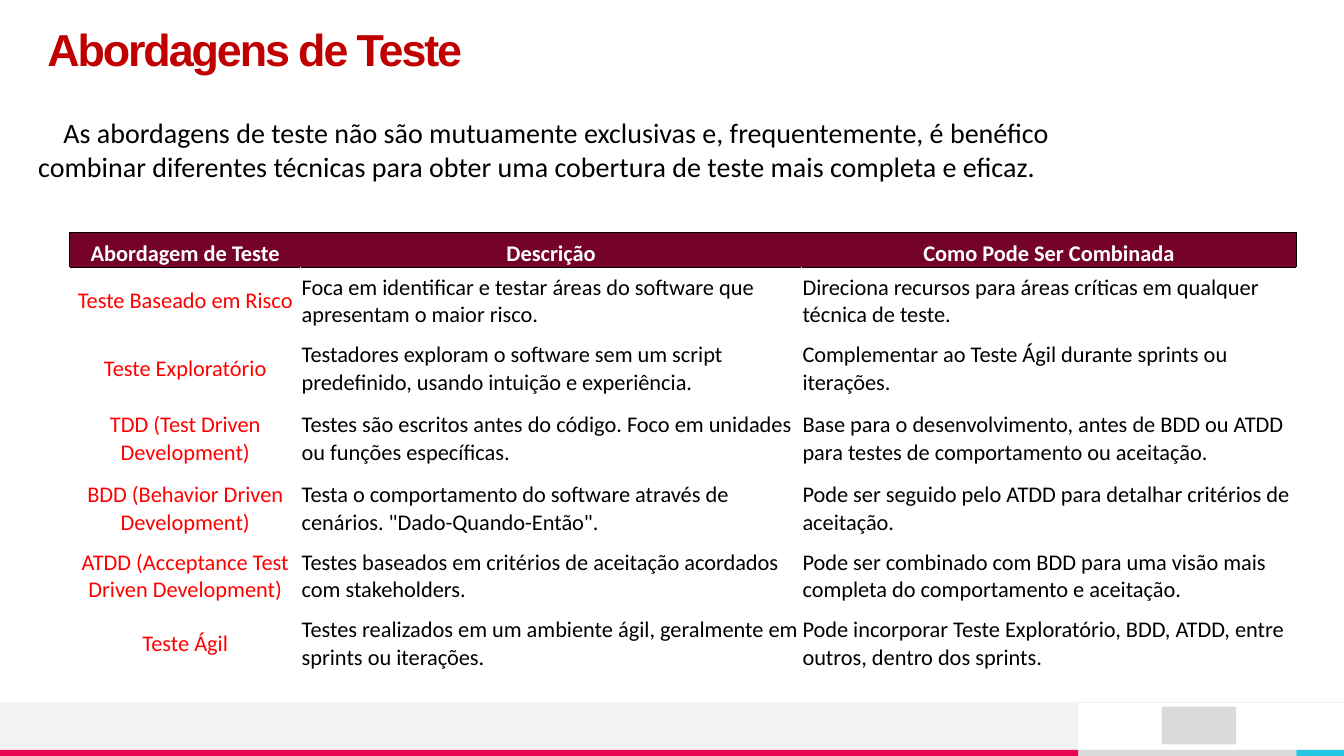
from lxml.etree import SubElement
from pptx import Presentation
from pptx.dml.color import RGBColor
from pptx.enum.shapes import MSO_CONNECTOR as Link, MSO_SHAPE as Form
from pptx.enum.text import MSO_ANCHOR as Anchor, MSO_AUTO_SIZE as Auto, PP_ALIGN as Align
from pptx.oxml.ns import qn
from pptx.util import Pt

WIDE, HIGH = 960, 540
HEAD = ["Abordagem de Teste", "Descrição", "Como Pode Ser Combinada"]
ROWS = [
    ["Teste Baseado em Risco",
     "Foca em identificar e testar áreas do software que apresentam o maior risco.",
     "Direciona recursos para áreas críticas em qualquer técnica de teste."],
    ["Teste Exploratório",
     "Testadores exploram o software sem um script predefinido, usando intuição e experiência.",
     "Complementar ao Teste Ágil durante sprints ou iterações."],
    ["TDD (Test Driven Development)",
     "Testes são escritos antes do código. Foco em unidades ou funções específicas.",
     "Base para o desenvolvimento, antes de BDD ou ATDD para testes de comportamento ou aceitação."],
    ["BDD (Behavior Driven Development)",
     "Testa o comportamento do software através de cenários. \"Dado-Quando-Então\".",
     "Pode ser seguido pelo ATDD para detalhar critérios de aceitação."],
    ["ATDD (Acceptance Test Driven Development)",
     "Testes baseados em critérios de aceitação acordados com stakeholders.",
     "Pode ser combinado com BDD para uma visão mais completa do comportamento e aceitação."],
    ["Teste Ágil",
     "Testes realizados em um ambiente ágil, geralmente em sprints ou iterações.",
     "Pode incorporar Teste Exploratório, BDD, ATDD, entre outros, dentro dos sprints."],
]


def paint(fmt, color):
    """Apply a solid hex colour to a fill."""
    fmt.solid()
    fmt.fore_color.rgb = RGBColor.from_string(color)


def write(para, text, size, color, bold=False, font="Calibri", track=0):
    """Add one formatted run; track is letter spacing in points."""
    run = para.add_run()
    run.text = text
    run.font.size, run.font.bold, run.font.name = Pt(size), bold, font
    paint(run.font.fill, color)
    if track:
        run._r.get_or_add_rPr().set("spc", str(round(track * 100)))


def inset(frame, left, top, right, bottom):
    """Set the four margins of a text frame or cell."""
    frame.margin_left, frame.margin_top = Pt(left), Pt(top)
    frame.margin_right, frame.margin_bottom = Pt(right), Pt(bottom)


def block(slide, left, top, width, height, color):
    """Draw a plain filled rectangle."""
    shape = slide.shapes.add_shape(Form.RECTANGLE, Pt(left), Pt(top), Pt(width), Pt(height))
    shape.shadow.inherit = False
    paint(shape.fill, color)
    shape.line.fill.background()


def footer(slide, top, height):
    """Draw the footer band, its coloured strip and a plain block."""
    strip, split, end = 4.3, 770.4, 926
    base = top + height - strip
    block(slide, 0, top, split, height - strip, "F2F2F2")
    block(slide, 0, base, split, strip, "E80554")
    block(slide, split, base, end - split, strip, "DADADA")
    block(slide, end, base, WIDE - end, strip, "25C6E3")
    block(slide, 830, top + 3, 53, 27, "DADADA")
    rule = slide.shapes.add_connector(Link.STRAIGHT, 0, Pt(top), Pt(WIDE), Pt(top))
    paint(rule.line.fill, "F2F2F2")
    rule.line.width = Pt(0.5)
    SubElement(rule._element.spPr, qn("a:effectLst"))


def heading(slide, left, top, width, height):
    """Place and fill the title placeholder."""
    title = slide.shapes.title
    title.left, title.top, title.width, title.height = map(Pt, (left, top, width, height))
    frame = title.text_frame
    frame.auto_size, frame.vertical_anchor = Auto.NONE, Anchor.MIDDLE
    inset(frame, 0, 0, 0, 0)
    para = frame.paragraphs[0]
    para.alignment, para.line_spacing = Align.LEFT, 0.9
    write(para, "Abordagens de Teste", 32, "C00000", True, "Arial", -1.5)


def intro(slide, left, top, width, height):
    """Write the opening paragraph with a first-line indent."""
    box = slide.shapes.add_textbox(Pt(left), Pt(top), Pt(width), Pt(height))
    frame = box.text_frame
    frame.word_wrap, frame.auto_size = True, Auto.SHAPE_TO_FIT_TEXT
    para = frame.paragraphs[0]
    para._p.get_or_add_pPr().set("indent", str(Pt(18)))
    write(para, "As abordagens de teste não são mutuamente exclusivas e, frequentemente, "
                "é benéfico combinar diferentes técnicas para obter uma cobertura de teste "
                "mais completa e eficaz.", 20, "000000")


def border(cell, edges):
    """Draw the cell's sides; a side without a colour is left clear."""
    for side in "LRTB":
        line = SubElement(cell._tc.get_or_add_tcPr(), qn("a:ln" + side), w=str(Pt(1)))
        if edges.get(side):
            fill = SubElement(line, qn("a:solidFill"))
            SubElement(fill, qn("a:srgbClr"), val=edges[side])
        else:
            SubElement(line, qn("a:noFill"))


def grid(slide, left, top, widths, heights):
    """Build the table of approaches."""
    shape = slide.shapes.add_table(len(heights), len(widths), Pt(left), Pt(top),
                                   Pt(sum(widths)), Pt(sum(heights)))
    table = shape.table
    table.first_row = table.horz_banding = False
    for col, width in zip(table.columns, widths):
        col.width = Pt(width)
    for row, height in zip(table.rows, heights):
        row.height = Pt(height)
    last = len(widths) - 1
    for r, texts in enumerate([HEAD] + ROWS):
        for c, text in enumerate(texts):
            cell = table.cell(r, c)
            inset(cell, 0.7, 0.7, 0.7, 0)
            para = cell.text_frame.paragraphs[0]
            para.alignment = Align.CENTER if r == 0 or c == 0 else Align.LEFT
            if r == 0:
                cell.vertical_anchor = Anchor.BOTTOM
                border(cell, {"T": "000000", "B": "000000",
                              "L": "000000" if c == 0 else None,
                              "R": "000000" if c == last else None})
                paint(cell.fill, "74022A")
                write(para, text, 16, "FFFFFF", True)
            else:
                cell.vertical_anchor = Anchor.MIDDLE
                edges = dict.fromkeys("LRTB", "FFFFFF")
                if r == 1:
                    edges["T"] = "000000"
                border(cell, edges)
                cell.fill.background()
                write(para, text, 16, "000000" if c else "FF0000")


def main():
    """Build and save the slide."""
    deck = Presentation()
    deck.slide_width, deck.slide_height = Pt(WIDE), Pt(HIGH)
    slide = deck.slides.add_slide(deck.slide_layouts[5])
    footer(slide, 501.8, HIGH - 501.8)
    intro(slide, 20.2, 79.2, 804.2, 55.4)
    grid(slide, 49.9, 166.3, [164.9, 357.8, 353.5], [24.5, 48.2, 48.2, 51.8, 48.2, 48.2, 48.2])
    heading(slide, 33.8, 20.2, 892, 33.8)
    deck.save("out.pptx")


if __name__ == "__main__":
    main()
